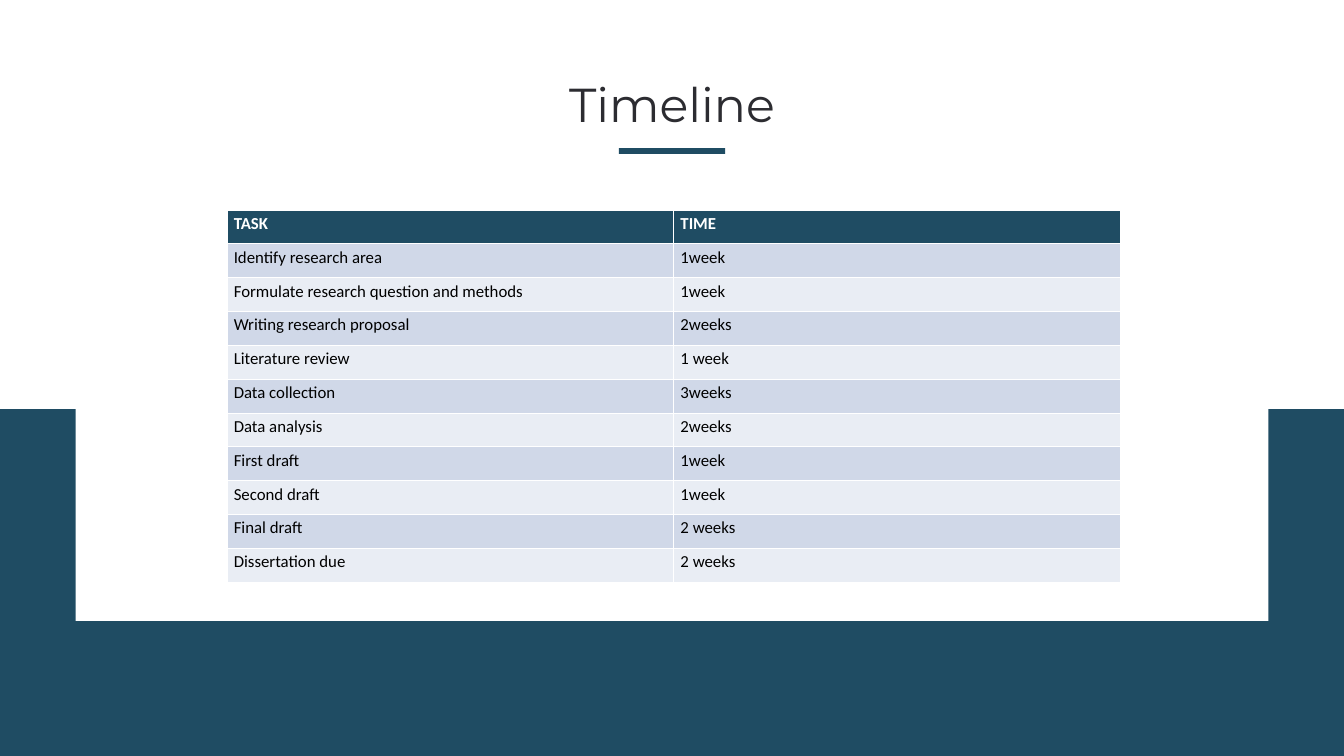
from typing import NamedTuple

from pptx import Presentation
from pptx.dml.color import RGBColor
from pptx.enum.shapes import MSO_SHAPE as Shape
from pptx.enum.text import MSO_ANCHOR as Anchor, MSO_AUTO_SIZE as AutoSize, PP_ALIGN as Align
from pptx.util import Pt

TEAL = RGBColor(0x1F, 0x4C, 0x63)
WHITE = RGBColor(0xFF, 0xFF, 0xFF)
BLACK = RGBColor(0x00, 0x00, 0x00)
CHARCOAL = RGBColor(0x2C, 0x2C, 0x31)
BANDS = (RGBColor(0xD0, 0xD8, 0xE8), RGBColor(0xE9, 0xED, 0xF4))

PAGE_WIDTH, PAGE_HEIGHT = 1440, 810
TABLE_LEFT, TABLE_TOP = 243.3, 225
COLUMN_WIDTH, ROW_HEIGHT = 478.6, 36.26


class Panel(NamedTuple):
    left: float
    top: float
    width: float
    height: float
    color: RGBColor


class Step(NamedTuple):
    task: str
    time: str


PANELS = (
    Panel(0, 438.5, PAGE_WIDTH, PAGE_HEIGHT - 438.5, TEAL),
    Panel(81, 404.6, 1278, 260.7, WHITE),
    Panel(663, 158.8, 114, 6, TEAL),
)

HEADER = Step("TASK", "TIME")
STEPS = (
    Step("Identify research area", "1week"),
    Step("Formulate research question and methods", "1week"),
    Step("Writing research proposal", "2weeks"),
    Step("Literature review", "1 week"),
    Step("Data collection", "3weeks"),
    Step("Data analysis", "2weeks"),
    Step("First draft", "1week"),
    Step("Second draft", "1week"),
    Step("Final draft", "2 weeks"),
    Step("Dissertation due", "2 weeks"),
)


def format_font(font, color: RGBColor, **values) -> None:
    for name, value in values.items():
        setattr(font, name, value)
    font.color.rgb = color


def draw_panel(page, panel: Panel) -> None:
    left, top, width, height, color = panel
    shape = page.shapes.add_shape(Shape.RECTANGLE, Pt(left), Pt(top), Pt(width), Pt(height))
    shape.shadow.inherit = False
    shape.fill.solid()
    shape.fill.fore_color.rgb = color
    shape.line.fill.background()


def draw_title(page, text: str) -> None:
    title = page.shapes.title
    place = {"left": 71.3, "top": 80.6, "width": 1297.4, "height": 60.5}
    for name, value in place.items():
        setattr(title, name, Pt(value))
    frame = title.text_frame
    layout = {
        "margin_left": 0, "margin_top": 0, "margin_right": 0, "margin_bottom": 0,
        "vertical_anchor": Anchor.TOP, "auto_size": AutoSize.NONE, "word_wrap": True,
    }
    for name, value in layout.items():
        setattr(frame, name, value)
    para = frame.paragraphs[0]
    para.alignment = Align.CENTER
    para.line_spacing = Pt(61.2)
    span = para.add_run()
    span.text = text
    format_font(span.font, CHARCOAL, name="Montserrat", size=Pt(51), bold=False)


def draw_row(table, index: int, step: Step) -> None:
    is_header = index == 0
    table.rows[index].height = Pt(ROW_HEIGHT)
    for cell, text in zip(table.rows[index].cells, step):
        cell.fill.solid()
        cell.fill.fore_color.rgb = TEAL if is_header else BANDS[(index - 1) % 2]
        span = cell.text_frame.paragraphs[0].add_run()
        span.text = text
        format_font(span.font, WHITE if is_header else BLACK,
                    name="Calibri", size=Pt(18), bold=is_header)


def draw_timeline(page, steps: tuple[Step, ...]) -> None:
    """Draw the table; its default style supplies the white cell borders."""
    rows, columns = len(steps), len(HEADER)
    table = page.shapes.add_table(
        rows, columns, Pt(TABLE_LEFT), Pt(TABLE_TOP),
        Pt(columns * COLUMN_WIDTH), Pt(rows * ROW_HEIGHT)).table
    for index, step in enumerate(steps):
        draw_row(table, index, step)


def main() -> None:
    deck = Presentation()
    deck.slide_width, deck.slide_height = Pt(PAGE_WIDTH), Pt(PAGE_HEIGHT)
    page = deck.slides.add_slide(deck.slide_layouts[5])
    for panel in PANELS:
        draw_panel(page, panel)
    draw_title(page, "Timeline")
    draw_timeline(page, (HEADER, *STEPS))
    deck.save("out.pptx")


if __name__ == "__main__":
    main()
